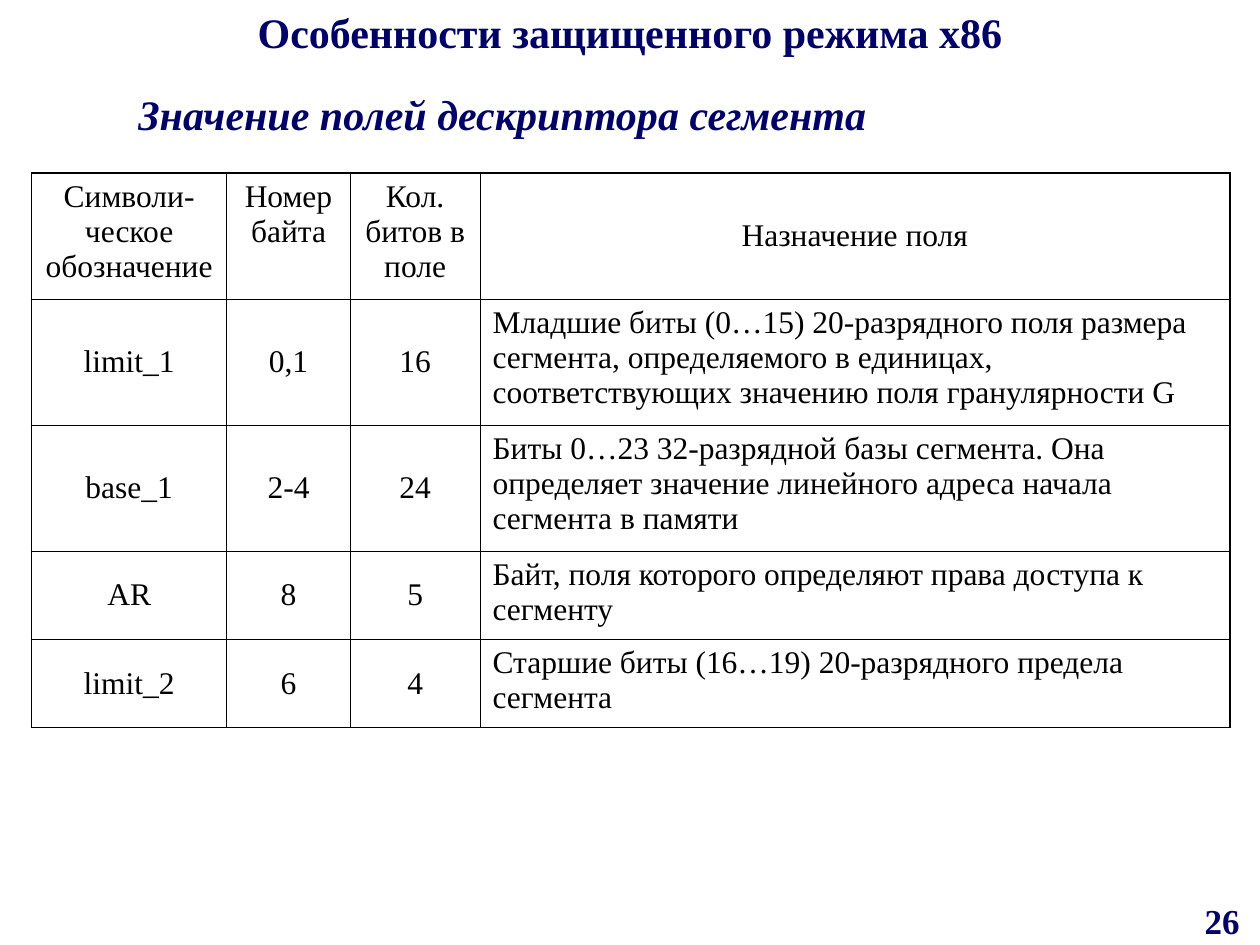
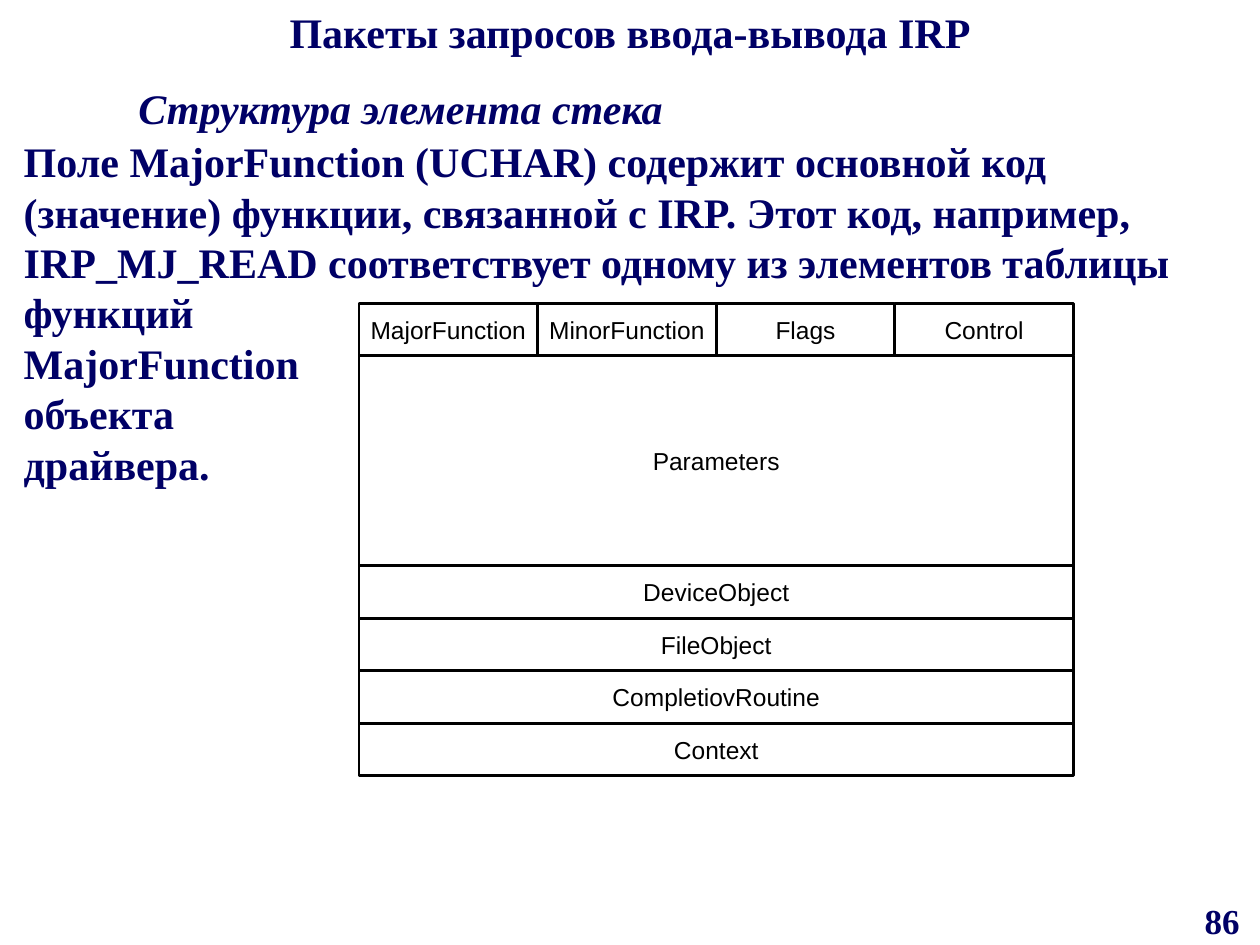
from lxml import etree
from pptx import Presentation
from pptx import util as u
from pptx.dml.color import RGBColor
from pptx.enum import shapes, text
from pptx.oxml.ns import qn

COLORS = {"heading": "000066", "ink": "000000"}
SERIF, SANS = "Times New Roman", "Arial"
WIDTH, HEIGHT = u.Inches(10), u.Inches(7.5)
HEADING_SIZE, HEADING_LEADING = 24, u.Pt(28.8)
OUTER_BORDER, INNER_BORDER = u.Pt(1.08), u.Pt(0.45)
CENTER, LEFT = text.PP_ALIGN.CENTER, text.PP_ALIGN.LEFT
TOP, MIDDLE = text.MSO_ANCHOR.TOP, text.MSO_ANCHOR.MIDDLE

DESCRIPTOR_COLUMNS = [1.55, 0.98, 1.03, 5.95]
DESCRIPTOR_ROWS = [1, 1, 1, 0.7, 0.7]
DESCRIPTOR_FIELDS = [
    ("Символи-ческое обозначение", "Номер байта", "Кол. битов в поле", "Назначение поля"),
    ("limit_1", "0,1", "16",
     "Младшие биты (0…15) 20-разрядного поля размера сегмента, определяемого в единицах, "
     "соответствующих значению поля гранулярности G"),
    ("base_1", "2-4", "24",
     "Биты 0…23 32-разрядной базы сегмента. Она определяет значение линейного адреса "
     "начала сегмента в памяти"),
    ("AR", "8", "5", "Байт, поля которого определяют права доступа к сегменту"),
    ("limit_2", "6", "4", "Старшие биты (16…19) 20-разрядного предела сегмента"),
]

MAJOR_FUNCTION_LINES = [
    "Поле MajorFunction (UCHAR) содержит основной код",
    "(значение) функции, связанной с IRP. Этот код, например,",
    "IRP_MJ_READ соответствует одному из элементов таблицы",
    "функций",
    "MajorFunction",
    "объекта",
    "драйвера.",
]

STACK_COLUMNS, STACK_ROWS = 4, 9
STACK_HEADER = ["MajorFunction", "MinorFunction", "Flags", "Control"]
STACK_BODY = [("Parameters", 4), ("DeviceObject", 1), ("FileObject", 1),
              ("CompletiovRoutine", 1), ("Context", 1)]


def color(name):
    return RGBColor.from_string(COLORS[name])


def share(left, top, width, height):
    return [int(WIDTH * left), int(HEIGHT * top), int(WIDTH * width), int(HEIGHT * height)]


def format_text(frame, size, font=SERIF, ink="heading", bold=True, italic=False,
                align=LEFT, leading=None, space_before=None):
    for paragraph in frame.paragraphs:
        paragraph.alignment = align
        paragraph.line_spacing = leading
        paragraph.space_before = space_before
        for run in paragraph.runs:
            run.font.name = font
            run.font.size = u.Pt(size)
            run.font.bold = bold
            run.font.italic = italic
            run.font.color.rgb = color(ink)


def add_text(slide, place, lines, wrap=False, size=HEADING_SIZE, **style):
    frame = slide.shapes.add_textbox(*place).text_frame
    frame.text = "\n".join(lines)
    frame.word_wrap = wrap
    format_text(frame, size, **style)


def add_subtitle(slide, top, width, subtitle):
    add_text(slide, share(0.1, top, width, 0.067), [subtitle],
             italic=True, leading=HEADING_LEADING)


def add_titled_slide(presentation, title, number):
    slide = presentation.slides.add_slide(presentation.slide_layouts[5])
    heading = slide.shapes.title
    heading.left, heading.top, heading.width, heading.height = share(0, 0, 1, 0.084)
    frame = heading.text_frame
    frame.text = title
    frame.auto_size = text.MSO_AUTO_SIZE.NONE
    frame.vertical_anchor = TOP
    format_text(frame, HEADING_SIZE, align=CENTER, leading=HEADING_LEADING)
    add_text(slide, share(0.94, 0.945, 0.06, 0.055), [number],
             wrap=True, size=20, align=CENTER)
    return slide


def set_borders(cell, widths):
    properties = cell._tc.get_or_add_tcPr()
    for position, (side, width) in enumerate(zip(("lnL", "lnR", "lnT", "lnB"), widths)):
        line = etree.Element(qn(f"a:{side}"), w=str(int(width)))
        fill = etree.SubElement(line, qn("a:solidFill"))
        etree.SubElement(fill, qn("a:srgbClr"), val=COLORS["ink"])
        properties.insert(position, line)


def add_descriptor_table(slide):
    row_count, column_count = len(DESCRIPTOR_ROWS), len(DESCRIPTOR_COLUMNS)
    table = slide.shapes.add_table(row_count, column_count,
                                   *share(0.025, 0.183, 0.951, 0.587)).table
    table.first_row = table.horz_banding = False
    for column, width in zip(table.columns, DESCRIPTOR_COLUMNS):
        column.width = u.Inches(width)
    for row, height in zip(table.rows, DESCRIPTOR_ROWS):
        row.height = u.Inches(height)
    last_row, last_column = row_count - 1, column_count - 1
    for row, values in enumerate(DESCRIPTOR_FIELDS):
        for column, value in enumerate(values):
            cell = table.cell(row, column)
            is_header, is_purpose = row == 0, column == last_column
            cell.text = value
            cell.fill.background()
            cell.vertical_anchor = MIDDLE if is_header == is_purpose else TOP
            format_text(cell.text_frame, 18, ink="ink", bold=False, space_before=u.Pt(4.5),
                        align=LEFT if is_purpose and not is_header else CENTER)
            edges = (column == 0, is_purpose, is_header, row == last_row)
            set_borders(cell, [OUTER_BORDER if edge else INNER_BORDER for edge in edges])


def add_field(group, place, label):
    field = group.shapes.add_shape(shapes.MSO_SHAPE.RECTANGLE, *place)
    field.shadow.inherit = False
    field.fill.background()
    field.line.color.rgb = color("ink")
    field.line.width = u.Pt(1.5)
    frame = field.text_frame
    frame.text = label
    frame.word_wrap = False
    frame.vertical_anchor = MIDDLE
    format_text(frame, 14, font=SANS, ink="ink", bold=False, align=CENTER)


def add_stack_diagram(slide):
    left, top, width, height = share(0.285, 0.321, 0.567, 0.5)
    column_width, row_height = width // STACK_COLUMNS, height // STACK_ROWS
    group = slide.shapes.add_group_shape()
    for column, label in enumerate(STACK_HEADER):
        add_field(group, (left + column * column_width, top, column_width, row_height), label)
    row = 1
    for label, span in STACK_BODY:
        add_field(group, (left, top + row * row_height, width, span * row_height), label)
        row += span


def main():
    presentation = Presentation()
    presentation.slide_width, presentation.slide_height = WIDTH, HEIGHT

    descriptor = add_titled_slide(presentation, "Особенности защищенного режима х86", "26")
    add_subtitle(descriptor, 0.087, 0.6, "Значение полей дескриптора сегмента")
    add_descriptor_table(descriptor)

    packets = add_titled_slide(presentation, "Пакеты запросов ввода-вывода IRP", "86")
    add_subtitle(packets, 0.081, 0.441, "Структура элемента стека")
    add_text(packets, share(0.009, 0.137, 0.944, 0.387), MAJOR_FUNCTION_LINES,
             leading=HEADING_LEADING)
    add_stack_diagram(packets)

    presentation.save("out.pptx")


if __name__ == "__main__":
    main()
